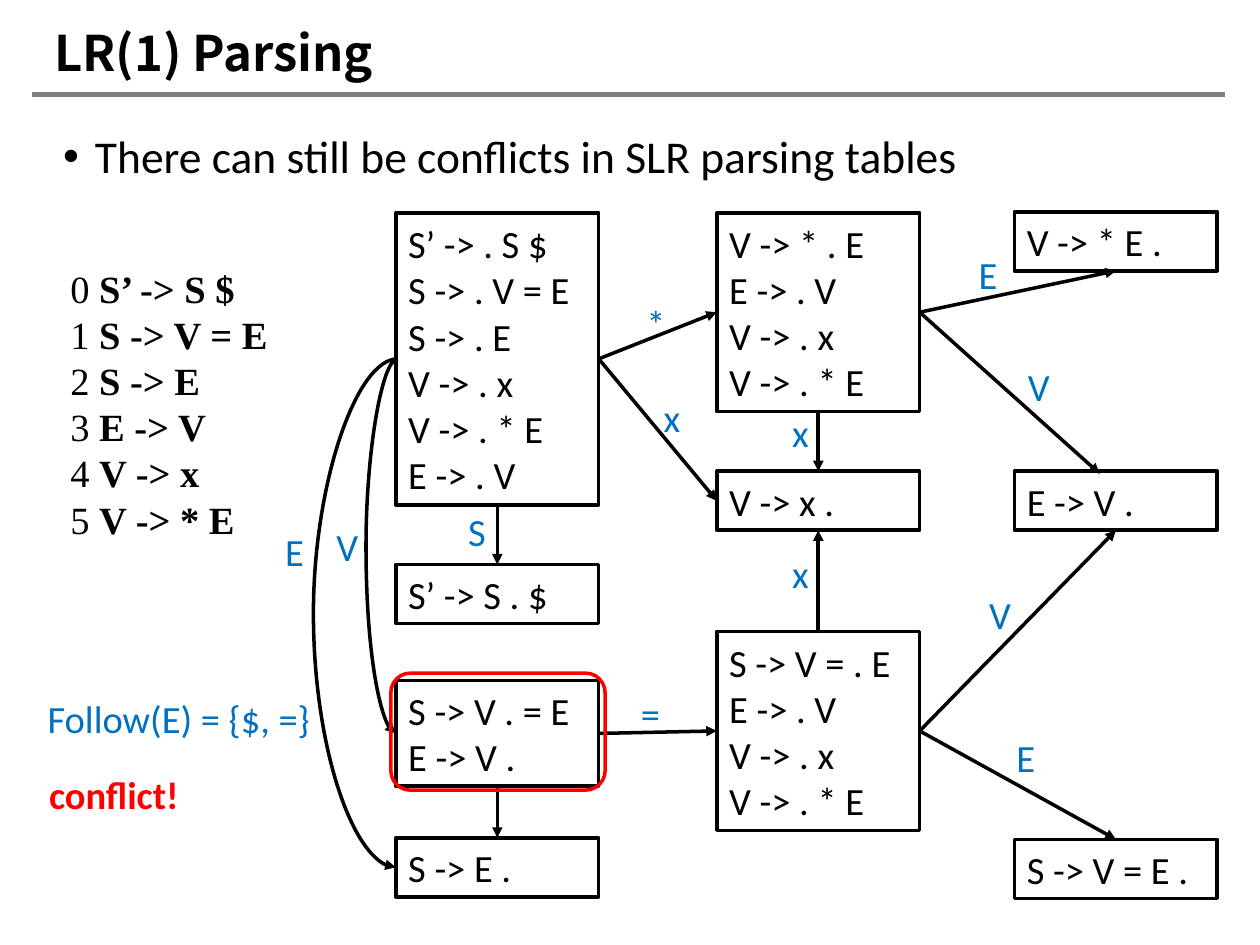
from lxml import etree
from pptx import Presentation
from pptx.dml.color import RGBColor
from pptx.enum.shapes import MSO_CONNECTOR, MSO_SHAPE
from pptx.enum.text import MSO_ANCHOR, MSO_AUTO_SIZE, PP_ALIGN
from pptx.oxml.ns import qn
from pptx.util import Cm, Pt

RECT, ROUND = MSO_SHAPE.RECTANGLE, MSO_SHAPE.ROUNDED_RECTANGLE
LINE, CURVE = MSO_CONNECTOR.STRAIGHT, MSO_CONNECTOR.CURVE
TOP, MIDDLE = MSO_ANCHOR.TOP, MSO_ANCHOR.MIDDLE
LEFT, FIXED = PP_ALIGN.LEFT, MSO_AUTO_SIZE.NONE
# Connection sites of a rectangle
UP, WEST, DOWN, EAST = range(4)

INK = {"black": "000000", "blue": "0070C0", "red": "FF0000", "gray": "7F7F7F"}
WIDE, PAD, ROW = 4.09, 0.25, 0.94  # node width, its padding, one text row

# Name: left, top, items
NODES = {
    "start": (2.48, 0.02, ["S’ -> . S $", "S -> . V = E", "S -> . E",
                           "V -> . x", "V -> . * E", "E -> . V"]),
    "star": (8.95, 0.02, ["V -> * . E", "E -> . V", "V -> . x", "V -> . * E"]),
    "x": (8.95, 5.23, ["V -> x ."]),
    "done": (2.48, 7.11, ["S’ -> S . $"]),
    "clash": (2.48, 9.45, ["S -> V . = E", "E -> V ."]),
    "expr": (2.48, 12.62, ["S -> E ."]),
    "equal": (8.95, 8.46, ["S -> V = . E", "E -> . V", "V -> . x", "V -> . * E"]),
    "deref": (14.95, 0, ["V -> * E ."]),
    "value": (14.95, 5.23, ["E -> V ."]),
    "full": (14.95, 12.65, ["S -> V = E ."]),
}
# From, site, to, site, label, label left and top
EDGES = [
    ("start", DOWN, "done", UP, "S", 3.69, 5.84),
    ("clash", DOWN, "expr", UP, "", 0, 0),
    ("star", DOWN, "x", UP, "x", 10.22, 3.86),
    ("equal", UP, "x", DOWN, "x", 10.22, 6.7),
    ("equal", EAST, "value", DOWN, "V", 14.19, 7.52),
    ("equal", EAST, "full", UP, "E", 14.74, 10.41),
    ("star", EAST, "value", UP, "V", 14.97, 2.92),
    ("star", EAST, "deref", DOWN, "E", 13.98, 0.66),
    ("start", EAST, "star", WEST, "*", 7.28, 1.65),
    ("start", EAST, "x", WEST, "x", 7.63, 3.55),
    ("clash", EAST, "equal", WEST, "=", 7.17, 9.52),
]
# Target, bulge, label, label left and top
BENDS = [("clash", 0.64, "V", 1.03, 6.14), ("expr", 1.7, "E", 0, 6.25)]


def color(name):
    return RGBColor.from_string(INK[name])


def write(frame, lines, size=22, font="Calibri", ink="black", bold=False, plain=0):
    """Write one paragraph a line; the first `plain` letters are not bold."""
    for i, line in enumerate(lines):
        para = frame.paragraphs[0] if i == 0 else frame.add_paragraph()
        para.alignment = LEFT
        for part, heavy in ((line[:plain], False), (line[plain:], bold)):
            if part:
                run = para.add_run()
                run.text = part
                run.font.size, run.font.name = Pt(size), font
                run.font.bold, run.font.color.rgb = heavy, color(ink)


def note(slide, x, y, w, h, lines, wrap=True, **look):
    frame = slide.shapes.add_textbox(Cm(x), Cm(y), Cm(w), Cm(h)).text_frame
    frame.word_wrap = wrap
    write(frame, lines, **look)


def frame_box(slide, kind, x, y, w, h, ink="black"):
    box = slide.shapes.add_shape(kind, Cm(x), Cm(y), Cm(w), Cm(h))
    box.shadow.inherit = False
    box.fill.background()
    box.line.color.rgb, box.line.width = color(ink), Pt(2)
    return box


def link(slide, kind=LINE, ends=(0, 0, 0, 0), ink="black", width=2, head=True):
    wire = slide.shapes.add_connector(kind, *ends)
    wire.line.color.rgb, wire.line.width = color(ink), Pt(width)
    if head:
        etree.SubElement(wire.line._get_or_add_ln(), qn("a:tailEnd"), type="triangle")
    etree.SubElement(wire._element.spPr, qn("a:effectLst"))
    return wire


def place(shape, x, y, w, h):
    shape.left, shape.top, shape.width, shape.height = Cm(x), Cm(y), Cm(w), Cm(h)
    shape.text_frame.auto_size = FIXED


def header(slide, x, y, w, h):
    # Rule under the title
    link(slide, ends=(Cm(x), Cm(y + h), Cm(x + w), Cm(y + h)),
         ink="gray", width=3, head=False)
    title = slide.shapes.title
    place(title, x + 0.45, y, w - 0.58, h - 0.25)
    frame = title.text_frame
    frame.margin_left = frame.margin_right = frame.margin_top = frame.margin_bottom = 0
    frame.vertical_anchor = MIDDLE
    write(frame, ["LR(1) Parsing"], size=28, font="Noto Sans CJK SC", bold=True)


def body(slide, x, y, w, h):
    hold = slide.placeholders[1]
    place(hold, x, y, w, h)
    hold.text_frame.vertical_anchor = TOP
    write(hold.text_frame, ["There can still be conflicts in SLR parsing tables"], size=26)
    para = hold.text_frame.paragraphs[0]
    para.line_spacing, para.space_before = 0.9, Pt(10)
    props = para._p.get_or_add_pPr()
    props.set("marL", str(Cm(0.64)))
    props.set("indent", str(-Cm(0.64)))


def side(slide, x, y, w):
    # Grammar rules and the conflict remark
    rules = ["0 S’ -> S $", "1 S -> V = E", "2 S -> E", "3 E -> V", "4 V -> x", "5 V -> * E"]
    note(slide, x + 0.46, y, w - 1.27, PAD + ROW * len(rules), rules,
         font="Times New Roman", bold=True, plain=2)
    note(slide, x, y + 8.68, w, 1.19, ["Follow(E) = {$, =}"], wrap=False, ink="blue")
    note(slide, x + 0.03, y + 10.21, 3.18, 1.19, ["conflict!"], wrap=False,
         ink="red", bold=True)


def graph(slide, x, y):
    # States
    nodes = {}
    for name, (left, top, items) in NODES.items():
        box = frame_box(slide, RECT, x + left, y + top, WIDE, PAD + ROW * len(items))
        box.text_frame.word_wrap = True
        box.text_frame.vertical_anchor = MIDDLE
        write(box.text_frame, items)
        nodes[name] = box

    # Straight moves
    for tail, out, tip, into, *_ in EDGES:
        wire = link(slide)
        wire.begin_connect(nodes[tail], out)
        if (tail, tip) == ("star", "value"):  # ends left of the middle
            wire.end_x, wire.end_y = Cm(x + 16.67), Cm(y + 5.28)
        else:
            wire.end_connect(nodes[tip], into)

    # Curved moves, bulging to the left
    start, thin = nodes["start"], Cm(0.04)
    for tip, bulge, *_ in BENDS:
        goal = nodes[tip]
        wire = link(slide, CURVE, (start.left + thin, start.top + start.height // 2,
                                   goal.left, goal.top + goal.height // 2))
        bend = wire._element.spPr.find(qn("a:prstGeom")).get_or_add_avLst()
        etree.SubElement(bend, qn("a:gd"), name="adj1",
                         fmla=f"val {round(Cm(bulge) / thin * 100000)}")

    # Move labels
    for *_, label, left, top in EDGES + BENDS:
        if label:
            note(slide, x + left, y + top, 0.69, 1.19, [label], ink="blue")

    # Mark around the conflict
    left, top, _ = NODES["clash"]
    frame_box(slide, ROUND, x + left - 0.1, y + top - 0.15, WIDE + 0.23, 2.36, "red")


def main():
    deck = Presentation()
    deck.slide_width, deck.slide_height = Cm(25.4), Cm(19.05)
    slide = deck.slides.add_slide(deck.slide_layouts[1])
    header(slide, 0.64, 0.43, 24.05, 1.48)
    body(slide, 1.02, 2.57, 23.47, 14.38)
    side(slide, 0.71, 5.21, 5.79)
    graph(slide, 5.5, 4.27)
    deck.save("out.pptx")


if __name__ == "__main__":
    main()
